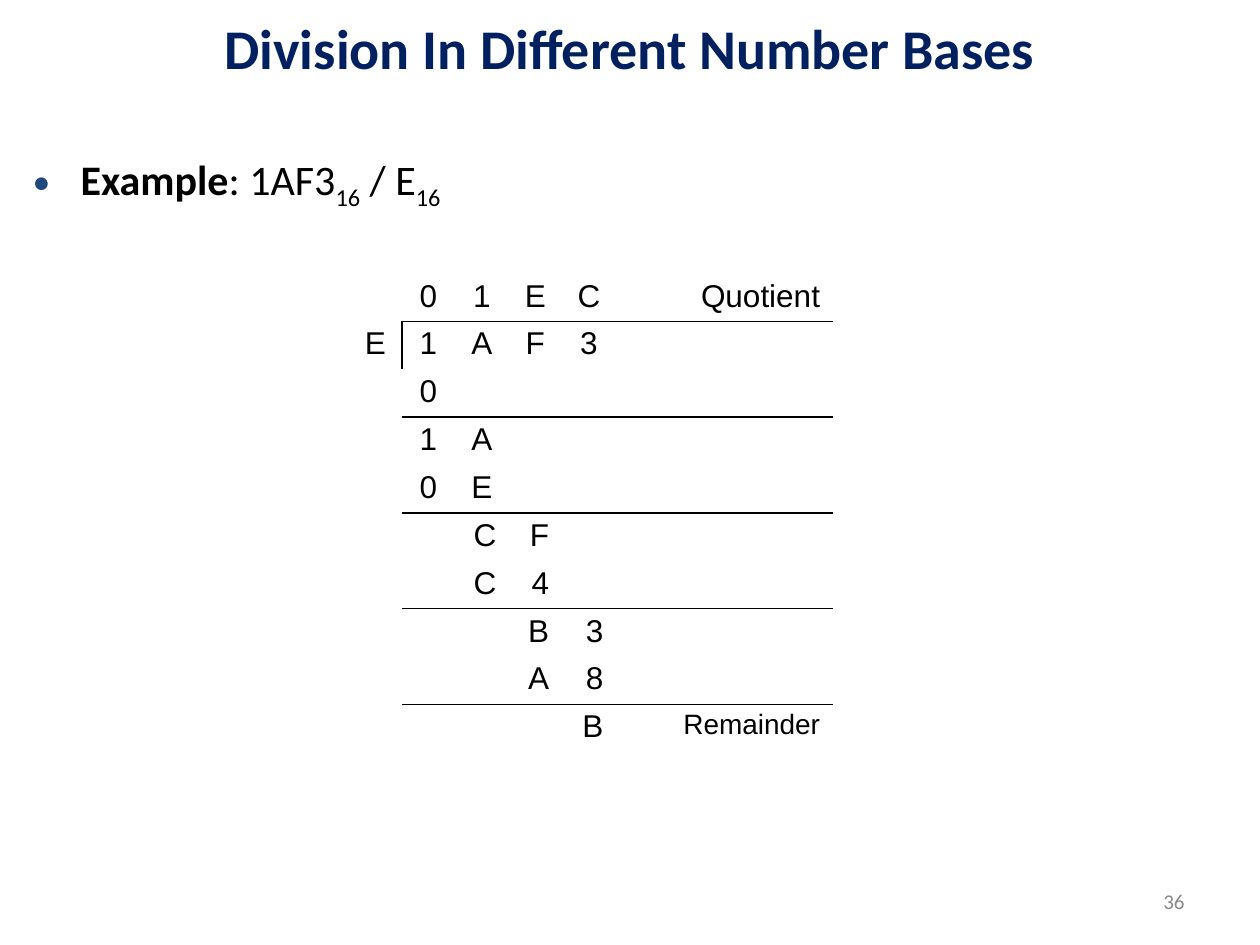
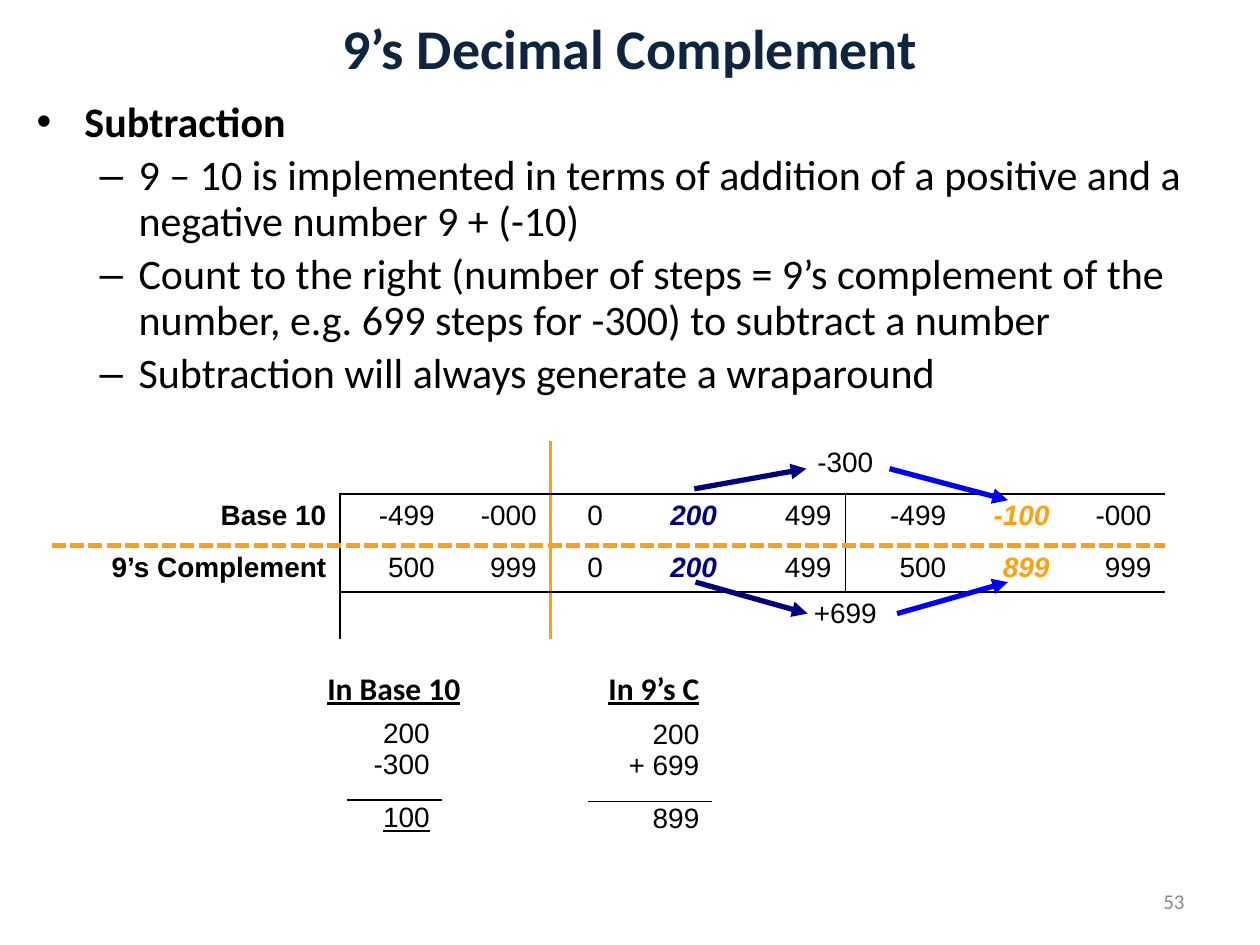
from lxml import etree
from pptx import Presentation
from pptx import util as u
from pptx.dml import color
from pptx.enum import shapes, text
from pptx.oxml import ns

COLORS = {"black": "000000", "title": "002060", "title_dark": "0F243E",
          "bullet": "1F497D", "number": "898989", "orange": "FF9F11",
          "navy": "000080", "blue": "0000FF"}
LEFT, CENTER, RIGHT = text.PP_ALIGN.LEFT, text.PP_ALIGN.CENTER, text.PP_ALIGN.RIGHT
TOP, MIDDLE = text.MSO_ANCHOR.TOP, text.MSO_ANCHOR.MIDDLE
NO_STYLE = "{2D5ABB26-0587-4C30-8999-92F81FD0307C}"
THIN = ("black", 1, "solid")


def box(at):
    return [u.Inches(v) for v in at]


def child(parent, tag, **attrs):
    return etree.SubElement(parent, ns.qn("a:" + tag), **attrs)


class Deck:
    """Style of the lecture and the slide being filled."""

    def __init__(self):
        self.prs = Presentation()
        self.prs.slide_width, self.prs.slide_height = box((10, 7.5))

    def slide(self, title, title_color, number):
        self.s = self.prs.slides.add_slide(self.prs.slide_layouts[1])
        sp = self.s.shapes.title
        self.place(sp, (0, 0, 10, 0.75), MIDDLE)
        p = sp.text_frame.paragraphs[0]
        p.alignment = CENTER
        self.run(p, title, 32, title_color, bold=True)
        p = self.textbox((7.17, 6.95, 2.33, 0.4), MIDDLE)
        p.alignment = RIGHT
        self.run(p, number, 12, "number")

    def place(self, sp, at, anchor):
        sp.left, sp.top, sp.width, sp.height = box(at)
        tf = sp.text_frame
        tf.auto_size = text.MSO_AUTO_SIZE.NONE
        tf.word_wrap = True
        tf.vertical_anchor = anchor

    def run(self, p, words, size, tint="black", font="Calibri", bold=False,
            italic=False, underline=False, subscript=False):
        r = p.add_run()
        r.text = words
        f = r.font
        f.name, f.size = font, u.Pt(size)
        f.bold, f.italic, f.underline = bold, italic, underline
        f.color.rgb = color.RGBColor.from_string(COLORS[tint])
        if subscript:
            r._r.get_or_add_rPr().set("baseline", "-25000")

    def textbox(self, at, anchor=TOP, wrap=True):
        sp = self.s.shapes.add_textbox(*box(at))
        self.place(sp, at, anchor)
        sp.text_frame.word_wrap = wrap
        return sp.text_frame.paragraphs[0]

    def heading(self, at, words):
        self.run(self.textbox(at, wrap=False), words, 18, bold=True, underline=True)

    def bullets(self, at, items, spacing, chars, tint="black", percent=100):
        """Fill the body with (level, runs) items, each run a (words, style) pair."""
        sp = self.s.placeholders[1]
        self.place(sp, at, TOP)
        tf = sp.text_frame
        for i, (level, runs) in enumerate(items):
            p = tf.add_paragraph() if i else tf.paragraphs[0]
            p.level = level
            margin, hang = ((0.38, 0.38), (0.81, 0.31))[level]
            pPr = p._p.get_or_add_pPr()
            pPr.set("marL", str(u.Inches(margin)))
            pPr.set("indent", str(-u.Inches(hang)))
            child(child(pPr, "buClr"), "srgbClr", val=COLORS[tint])
            child(pPr, "buSzPct", val=str(percent * 1000))
            child(pPr, "buFont", typeface="Arial")
            child(pPr, "buChar", char=chars[level])
            p.line_spacing = spacing
            p.space_before = u.Pt(4.8 if i else 0)
            for words, style in runs:
                self.run(p, words, 24, **style)

    def table(self, at, cols, rows, rules, merges=()):
        """Add an empty table; a rule is (axis, grid line, cells along it, line)."""
        size = (sum(cols), sum(rows))
        table = self.s.shapes.add_table(len(rows), len(cols), *box(at + size)).table
        tblPr = table._tbl.tblPr
        tblPr.find(ns.qn("a:tableStyleId")).text = NO_STYLE
        table.first_row = table.horz_banding = False
        for col, width in zip(table.columns, cols):
            col.width = u.Inches(width)
        for row, height in zip(table.rows, rows):
            row.height = u.Inches(height)
        lines = {(axis, index, i): line
                 for axis, index, span, line in rules for i in span}
        for r in range(len(rows)):
            for c in range(len(cols)):
                edges = {"lnL": ("v", c, r), "lnR": ("v", c + 1, r),
                         "lnT": ("h", r, c), "lnB": ("h", r + 1, c)}
                cell = table.cell(r, c)
                tcPr = cell._tc.get_or_add_tcPr()
                for tag, key in edges.items():
                    self.border(tcPr, tag, lines.get(key))
                cell.fill.background()
                child(cell.text_frame.paragraphs[0]._p, "endParaRPr", sz="1000")
        for first, last in merges:
            table.cell(*first).merge(table.cell(*last))
        return table

    def border(self, tcPr, tag, line):
        if line is None:
            child(child(tcPr, tag, w="0"), "noFill")
            return
        tint, width, dash = line
        ln = child(tcPr, tag, w=str(u.Pt(width)))
        child(child(ln, "solidFill"), "srgbClr", val=COLORS[tint])
        child(ln, "prstDash", val=dash)

    def cell(self, cell, words, align, size=16, side=0.1, top=0.05, **style):
        cell.margin_left = cell.margin_right = u.Inches(side)
        cell.margin_top, cell.margin_bottom = u.Inches(top), u.Inches(0.04)
        p = cell.text_frame.paragraphs[0]
        p.alignment = align
        self.run(p, words, size, font="Arial", **style)

    def arrow(self, start, end, tint):
        sp = self.s.shapes.add_connector(shapes.MSO_CONNECTOR.STRAIGHT,
                                         *box(start + end))
        sp.line.color.rgb = color.RGBColor.from_string(COLORS[tint])
        sp.line.width = u.Pt(3)
        child(sp.line._get_or_add_ln(), "tailEnd", type="triangle")
        child(sp._element.spPr, "effectLst")

    def calculation(self, at, width, rows, terms, result, underline=False):
        """Stack the terms over a ruled result, aligned on a decimal tab."""
        table = self.table(at, (width,), rows, [("h", 1, [0], THIN)])
        for row, numbers, spacing in ((0, terms, 1.0), (1, [result], 0.85)):
            tf = table.cell(row, 0).text_frame
            for i, number in enumerate(numbers):
                p = tf.add_paragraph() if i else tf.paragraphs[0]
                tabs = child(p._p.get_or_add_pPr(), "tabLst")
                child(tabs, "tab", pos=str(u.Inches(0.93)), algn="dec")
                p.line_spacing = spacing
                self.run(p, "\t" + number, 16, font="Arial",
                         underline=underline and row == 1)


def division(deck):
    deck.slide("Division In Different Number Bases", "title", "36")
    sub = {"subscript": True}
    runs = [("Example", {"bold": True}), (": 1AF3", {}), ("16", sub),
            (" / E", {}), ("16", sub)]
    deck.bullets((0.16, 1.08, 9.75, 1.08), [(0, runs)], 1.2, "●", "bullet", 70)

    steps = [(3, "01EC"), (2, "E1AF3"), (3, "0"), (3, "1A"), (3, "0E"),
             (4, "CF"), (4, "C4"), (5, "B3"), (5, "A8"), (6, "B")]
    rules = [("h", row, range(3, 10), THIN) for row in range(1, 10, 2)]
    rules.append(("v", 3, [1], THIN))
    merges = [((row, 7), (row, 9)) for row in (0, 7, 8, 9)] + [((10, 0), (10, 9))]
    table = deck.table((1.92, 2.17),
                       (0.42, 0.43, 0.42, 0.42, 0.43, 0.42, 0.43, 0.53, 0.66, 0.53),
                       [0.38] * 10 + [0.53], rules, merges)
    for row, (first, digits) in enumerate(steps):
        for col, digit in enumerate(digits, first):
            deck.cell(table.cell(row, col), digit, CENTER if row < 5 else RIGHT,
                      18, top=0.04)
    deck.cell(table.cell(0, 7), "Quotient", RIGHT, 18, top=0.04)
    deck.cell(table.cell(9, 7), "Remainder", RIGHT, top=0.04)


def complement(deck):
    deck.slide("9’s Decimal Complement", "title_dark", "53")
    points = ["9 – 10 is implemented in terms of addition of a positive and a "
              "negative number 9 + (-10)",
              "Count to the right (number of steps = 9’s complement of the "
              "number, e.g. 699 steps for -300) to subtract a number",
              "Subtraction will always generate a wraparound"]
    items = [(0, [("Subtraction", {"bold": True})])]
    items += [(1, [(point, {})]) for point in points]
    deck.bullets((0.19, 0.75, 9.64, 1.33), items, 0.9, "•–")

    rules = [("h", row, range(1, 9), THIN) for row in (1, 3)]
    rules += [("v", col, (1, 2), THIN) for col in (1, 6)]
    rules += [("h", 2, range(9), ("orange", 3, "sysDash")),
              ("v", 3, range(4), ("orange", 1.5, "solid"))]
    merges = [((0, 5), (0, 6)), ((3, 5), (3, 6)), ((2, 0), (3, 0))]
    table = deck.table((0.41, 3.5),
                       (2.29, 0.86, 0.81, 0.71, 0.72, 0.91, 0.91, 0.82, 0.81),
                       (0.42, 0.41, 0.37, 0.37), rules, merges)
    scale = [("Base 10", "-499", "-000", "0", "200", "499", "-499", "-100", "-000"),
             ("9’s Complement", "500", "999", "0", "200", "499", "500", "899", "999")]
    styles = {0: {"bold": True},
              4: {"tint": "navy", "bold": True, "italic": True},
              7: {"tint": "orange", "bold": True, "italic": True}}
    for row, values in enumerate(scale, 1):
        for col, value in enumerate(values):
            deck.cell(table.cell(row, col), value, CENTER if col == 3 else RIGHT,
                      side=0.11, **styles.get(col, {}))
    for row, step in ((0, "-300"), (3, "+699")):
        deck.cell(table.cell(row, 5), step, CENTER, side=0.11)

    deck.arrow((5.51, 3.88), (6.4, 3.72), "navy")
    deck.arrow((7.06, 3.72), (8, 3.97), "blue")
    deck.arrow((5.52, 4.62), (6.41, 4.87), "navy")
    deck.arrow((7.12, 4.87), (8, 4.62), "blue")

    deck.heading((2.5, 5.26, 1.27, 0.4), "In Base 10")
    deck.calculation((2.75, 5.65), 0.76, (0.7, 0.33, 0.37), ("200", "-300"), "100", True)
    deck.heading((4.73, 5.26, 0.92, 0.4), "In 9’s C")
    deck.calculation((4.67, 5.66), 0.98, (0.7, 0.33, 0.28, 0.37), ("200", "+ 699"), "899")


def main():
    deck = Deck()
    division(deck)
    complement(deck)
    deck.prs.save("out.pptx")


if __name__ == "__main__":
    main()
